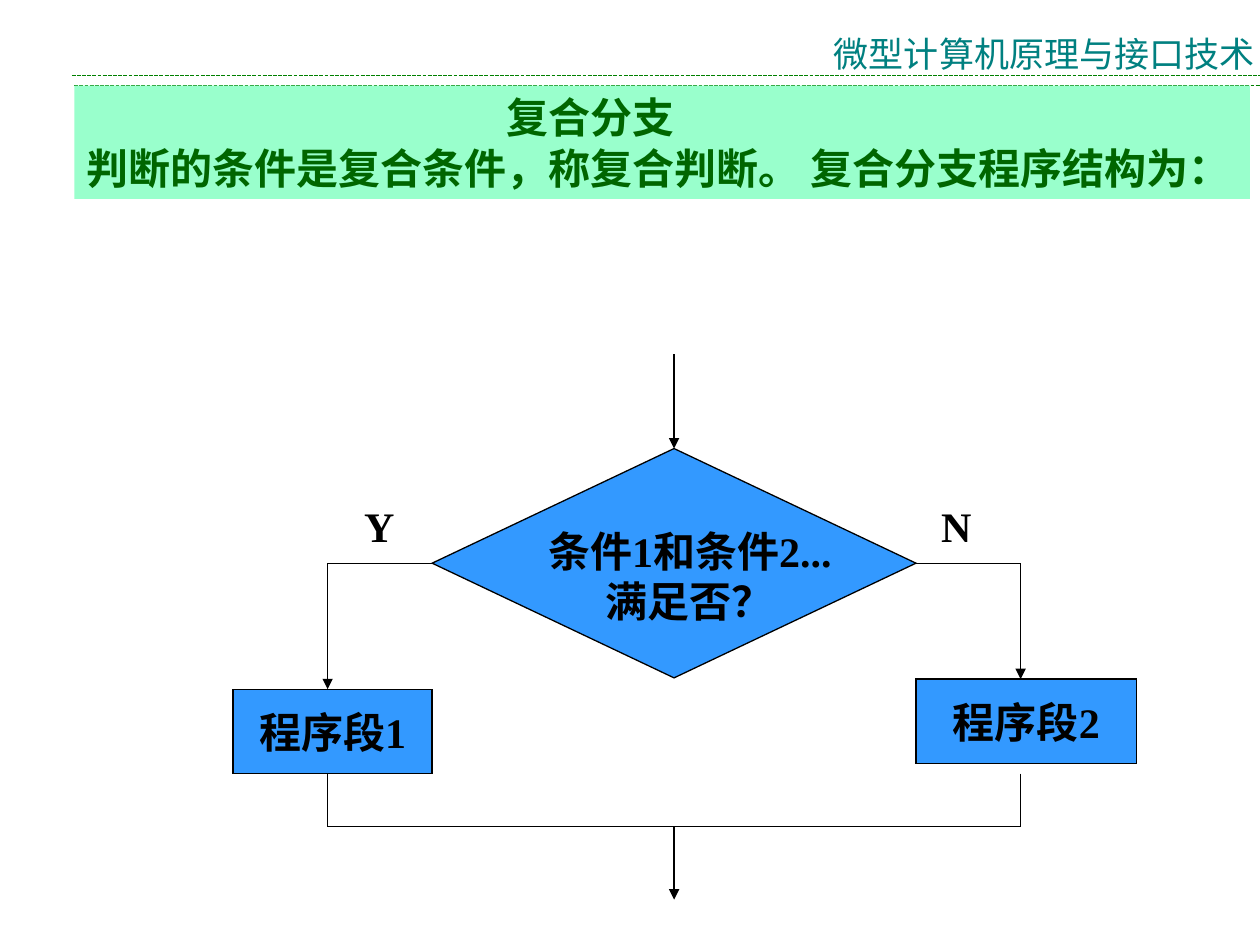
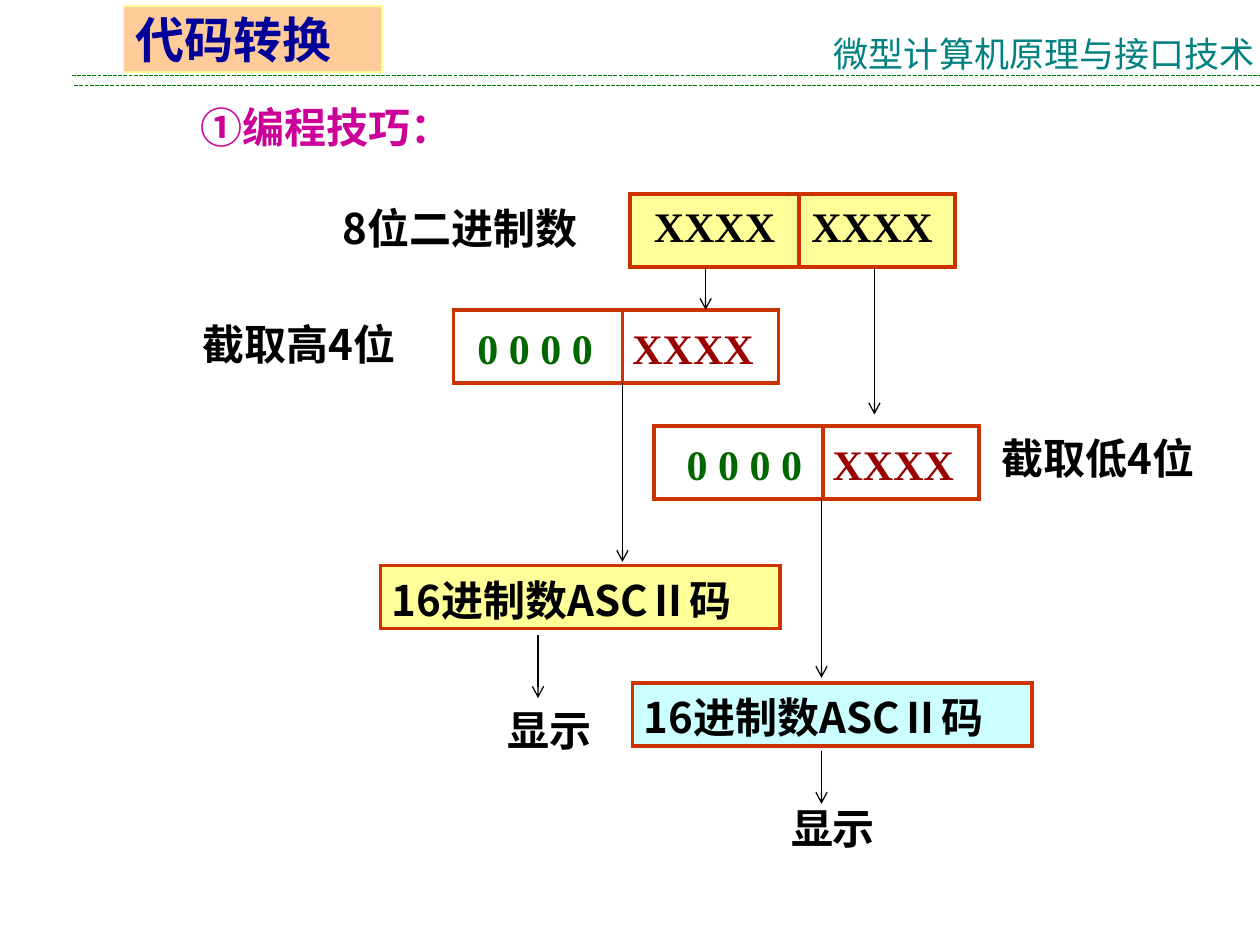
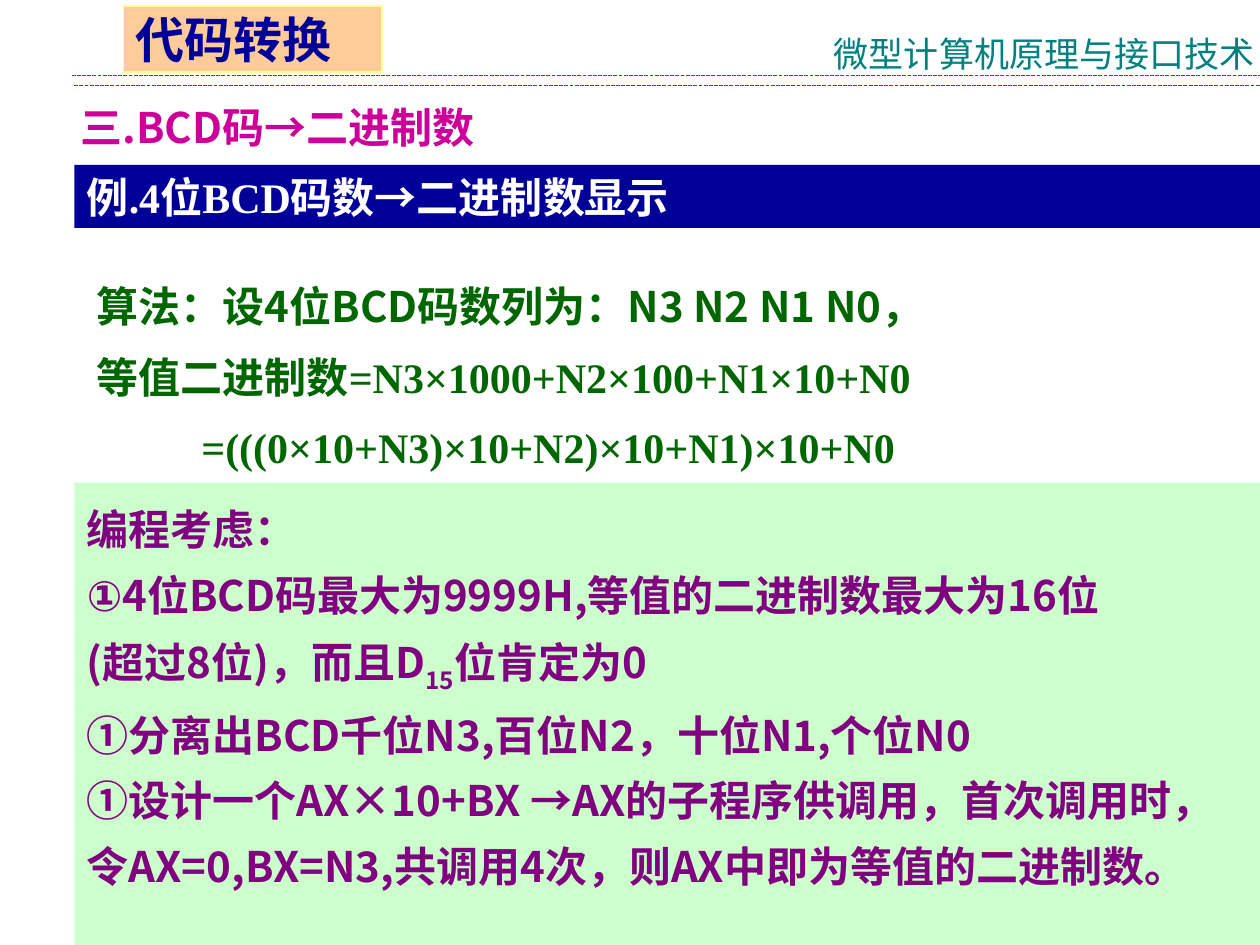
from dataclasses import dataclass

import pptx
import pptx.dml.color
import pptx.enum.dml
import pptx.enum.shapes
import pptx.enum.text
import pptx.oxml.ns
import pptx.util
from lxml import etree

Inches = pptx.util.Inches
Pt = pptx.util.Pt
Shapes = pptx.enum.shapes.MSO_SHAPE
Align = pptx.enum.text.PP_ALIGN
Anchor = pptx.enum.text.MSO_ANCHOR
AutoSize = pptx.enum.text.MSO_AUTO_SIZE
qn = pptx.oxml.ns.qn


@dataclass(frozen=True)
class Theme:
    sans: str = "Noto Sans CJK SC"
    serif: str = "Times New Roman"
    symbol: str = "Arial"
    body: int = 24
    tag: int = 28
    course: int = 20
    hairline: float = 0.75
    frame: float = 2
    black: str = "000000"
    white: str = "FFFFFF"
    teal: str = "008080"
    rule: str = "008000"
    green: str = "006600"
    mint: str = "99FFCC"
    pale_green: str = "CCFFCC"
    blue: str = "3399FF"
    navy: str = "000099"
    magenta: str = "CC0099"
    purple: str = "800080"
    dark_red: str = "990000"
    brick: str = "CC3300"
    yellow: str = "FFFF99"
    cyan: str = "CCFFFF"
    peach: str = "FFCC99"


THEME = Theme()


@dataclass
class Para:
    """Runs are plain strings or (string, format overrides); indent is in inches."""
    runs: list
    indent: float = 0


def rgb(value):
    return pptx.dml.color.RGBColor.from_string(value)


def add_run(paragraph, text, size, color, font, bold=True, baseline=0):
    run = paragraph.add_run()
    run.text = text
    run.font.size = Pt(size)
    run.font.bold = bold
    run.font.name = font
    run.font.color.rgb = rgb(color)
    properties = run.font._element
    etree.SubElement(properties, qn("a:ea"), typeface=THEME.sans)
    if baseline:
        properties.set("baseline", str(baseline * 1000))


def write(frame, text, align=Align.LEFT, anchor=Anchor.TOP, wrap=True, spacing=None,
          size=THEME.body, color=THEME.black, font=THEME.serif, bold=True):
    """Fill a text frame with a string or a list of Para."""
    frame.word_wrap = wrap
    frame.vertical_anchor = anchor
    style = dict(size=size, color=color, font=font, bold=bold)
    content = [Para([text])] if isinstance(text, str) else text
    for index, para in enumerate(content):
        paragraph = frame.add_paragraph() if index else frame.paragraphs[0]
        paragraph.alignment = align
        if spacing:
            paragraph.line_spacing = spacing
        if para.indent:
            paragraph._p.get_or_add_pPr().set("marL", str(Inches(para.indent)))
        for run in para.runs:
            words, changes = (run, {}) if isinstance(run, str) else run
            add_run(paragraph, words, **{**style, **changes})


class Deck:
    def __init__(self, theme):
        self.theme = theme
        self.presentation = pptx.Presentation()
        self.presentation.slide_width = Inches(10)
        self.presentation.slide_height = Inches(7.5)
        self.slide = None

    def new_slide(self, tag=None):
        theme = self.theme
        self.slide = self.presentation.slides.add_slide(self.presentation.slide_layouts[6])
        for left, top in ((0.59, 0.68), (0.57, 0.6)):
            rule = self.line((left, top), (10, top), color=theme.rule)
            rule.line.dash_style = pptx.enum.dml.MSO_LINE.SQUARE_DOT
        self.label(6.52, 0.21, 3.54, 0.43, "微型计算机原理与接口技术", size=theme.course,
                   font=theme.sans, color=theme.teal, bold=False)
        if tag:
            self.box(0.98, 0.05, 2.05, 0.52, theme.peach, tag, outline=theme.yellow, weight=1,
                     size=theme.tag, color=theme.navy, anchor=Anchor.MIDDLE)

    def box(self, left, top, width, height, fill=None, text=None, outline=None,
            weight=THEME.hairline, preset=Shapes.RECTANGLE, **style):
        shape = self.slide.shapes.add_shape(
            preset, Inches(left), Inches(top), Inches(width), Inches(height))
        shape.shadow.inherit = False
        if fill:
            shape.fill.solid()
            shape.fill.fore_color.rgb = rgb(fill)
        else:
            shape.fill.background()
        if outline:
            shape.line.color.rgb = rgb(outline)
            shape.line.width = Pt(weight)
            etree.SubElement(shape.line._get_or_add_ln(), qn("a:miter"), lim="800000")
        else:
            shape.line.fill.background()
        if text:
            write(shape.text_frame, text, **style)
        return shape

    def label(self, left, top, width, height, text, wrap=False, **style):
        """Place free text; an unwrapped label fits its box to its single line."""
        area = self.slide.shapes.add_textbox(
            Inches(left), Inches(top), Inches(width), Inches(height))
        write(area.text_frame, text, wrap=wrap, **style)
        if not wrap:
            area.text_frame.auto_size = AutoSize.SHAPE_TO_FIT_TEXT

    def line(self, start, end, head=None, color=THEME.black, weight=THEME.hairline,
             begin=None, finish=None):
        """Draw a straight line; begin and finish are (shape, side) to join to."""
        link = self.slide.shapes.add_connector(
            pptx.enum.shapes.MSO_CONNECTOR.STRAIGHT, *(Inches(v) for v in (*start, *end)))
        link.line.color.rgb = rgb(color)
        link.line.width = Pt(weight)
        if head:
            etree.SubElement(link.line._get_or_add_ln(), qn("a:tailEnd"), type=head)
        etree.SubElement(link._element.spPr, qn("a:effectLst"))
        if begin:
            link.begin_connect(*begin)
        if finish:
            link.end_connect(*finish)
        return link

    def register(self, left, top, halves, text_drop=0, fill=None):
        """Draw a two-part register; halves holds (text, offset, colour)."""
        height, divider = 0.58, left + 1.34
        self.box(left, top, 2.58, height, fill, outline=self.theme.brick,
                 weight=self.theme.frame)
        self.line((divider, top + height), (divider, top), color=self.theme.brick,
                  weight=self.theme.frame)
        for bits, offset, color in halves:
            self.label(left + offset, top + text_drop, 1.35, 0.5, bits, wrap=True, color=color)


def compound_branch(deck):
    theme = deck.theme
    deck.new_slide()
    deck.box(0.59, 0.68, 9.33, 0.9, theme.mint,
             [Para(["复合分支"], indent=3.33),
              Para(["判断的条件是复合条件，称复合判断。 复合分支程序结构为："])],
             color=theme.green, anchor=Anchor.MIDDLE)

    centred = dict(align=Align.CENTER, anchor=Anchor.MIDDLE)
    axis, yes_x, no_x = 5.35, 2.6, 8.1
    decision_y, segment_bottom, merge_y = 4.47, 6.14, 6.56
    decision = deck.box(3.43, 3.56, 3.84, 1.82, theme.blue, outline=theme.black,
                        preset=Shapes.FLOWCHART_DECISION)
    deck.label(4.1, 4.12, 2.75, 0.9, "条件1和条件2...满足否？", wrap=True, **centred)
    deck.line((axis, 2.81), (axis, 3.56), "triangle", finish=(decision, 0))

    branches = (
        ("Y", 2.79, yes_x, 3.43, 1, "程序段1", 1.85, 5.47, 1.58),
        ("N", 7.37, no_x, 7.27, 3, "程序段2", 7.27, 5.39, 1.75),
    )
    for answer, answer_x, x, corner, side, segment, left, top, width in branches:
        deck.line((corner, decision_y), (x, decision_y), begin=(decision, side))
        deck.line((x, decision_y), (x, top), "triangle")
        deck.box(left, top, width, 0.67, theme.blue, segment, outline=theme.black,
                 wrap=False, **centred)
        deck.line((x, segment_bottom), (x, merge_y))
        deck.label(answer_x, 3.92, 0.44, 0.5, answer, **centred)
    deck.line((yes_x, merge_y), (no_x, merge_y))
    deck.line((axis, merge_y), (axis, 7.14), "triangle")


def coding_technique(deck):
    theme = deck.theme
    deck.new_slide("代码转换")
    deck.label(1.49, 0.76, 2.38, 0.5,
               [Para([("①", {"font": theme.symbol}), "编程技巧："])],
               wrap=True, color=theme.magenta)

    for caption, left, top, width in (("8位二进制数", 2.62, 1.56, 2.14),
                                      ("截取高4位", 1.51, 2.48, 1.89),
                                      ("截取低4位", 7.85, 3.38, 1.89)):
        deck.label(left, top, width, 0.5, caption, font=theme.sans)

    deck.register(5, 1.54, [("XXXX", 0.09, theme.black), ("XXXX", 1.34, theme.black)],
                  fill=theme.yellow)
    for left, top, zeros_offset in ((3.6, 2.46, 0.09), (5.19, 3.38, 0.16)):
        deck.register(left, top, [("0 0 0 0", zeros_offset, theme.green),
                                  ("XXXX", 1.32, theme.dark_red)], text_drop=0.05)

    for left, top, fill in ((3.02, 4.49, theme.yellow), (5.02, 5.42, theme.cyan)):
        deck.box(left, top, 3.17, 0.5, fill, outline=theme.brick, weight=theme.frame)
        deck.label(left - 0.01, top + 0.02, 3.15, 0.5, "16进制数ASCⅡ码", font=theme.sans)
    for left, top in ((3.93, 5.54), (6.18, 6.32)):
        deck.label(left, top, 0.87, 0.5, "显示")

    for x, top, bottom in ((5.6, 2.13, 2.46), (6.94, 2.13, 3.29), (4.94, 3.04, 4.46),
                           (6.52, 3.96, 5.38), (6.52, 5.96, 6.38), (4.27, 5.04, 5.54)):
        deck.line((x, top), (x, bottom), "arrow")


def bcd_to_binary(deck):
    theme = deck.theme
    deck.new_slide("代码转换")
    deck.label(0.54, 0.76, 3.5, 0.5, "三.BCD码→二进制数", font=theme.sans, color=theme.magenta)
    deck.box(0.59, 1.31, 9.41, 0.5, theme.navy, "例.4位BCD码数→二进制数显示", color=theme.white)

    formula = {"font": theme.serif}
    deck.label(0.67, 2.02, 9.33, 1.78, [
        Para(["算法：设4位BCD码数列为：N3 N2 N1 N0，"]),
        Para(["等值二进制数", ("=N3×1000+N2×100+N1×10+N0", formula)]),
        Para([("=(((0×10+N3)×10+N2)×10+N1)×10+N0", formula)], indent=0.83),
    ], wrap=True, spacing=1.4, font=theme.sans, color=theme.green)

    marker = ("①", {"font": theme.symbol})
    deck.box(0.59, 3.83, 9.41, 3.81, theme.pale_green, [
        Para(["编程考虑："]),
        Para([marker, "4位BCD码最大为9999H,等值的二进制数最大为16位"]),
        Para(["(超过8位)，而且D", ("15", {"baseline": -25}), "位肯定为0"]),
        Para([marker, "分离出BCD千位N3,百位N2，十位N1,个位N0"]),
        Para([marker, "设计一个AX×10+BX →AX的子程序供调用，首次调用时，"
                      "令AX=0,BX=N3,共调用4次，则AX中即为等值的二进制数。"]),
    ], spacing=1.3, font=theme.sans, color=theme.purple)


def main():
    deck = Deck(THEME)
    compound_branch(deck)
    coding_technique(deck)
    bcd_to_binary(deck)
    deck.presentation.save("out.pptx")


if __name__ == "__main__":
    main()
